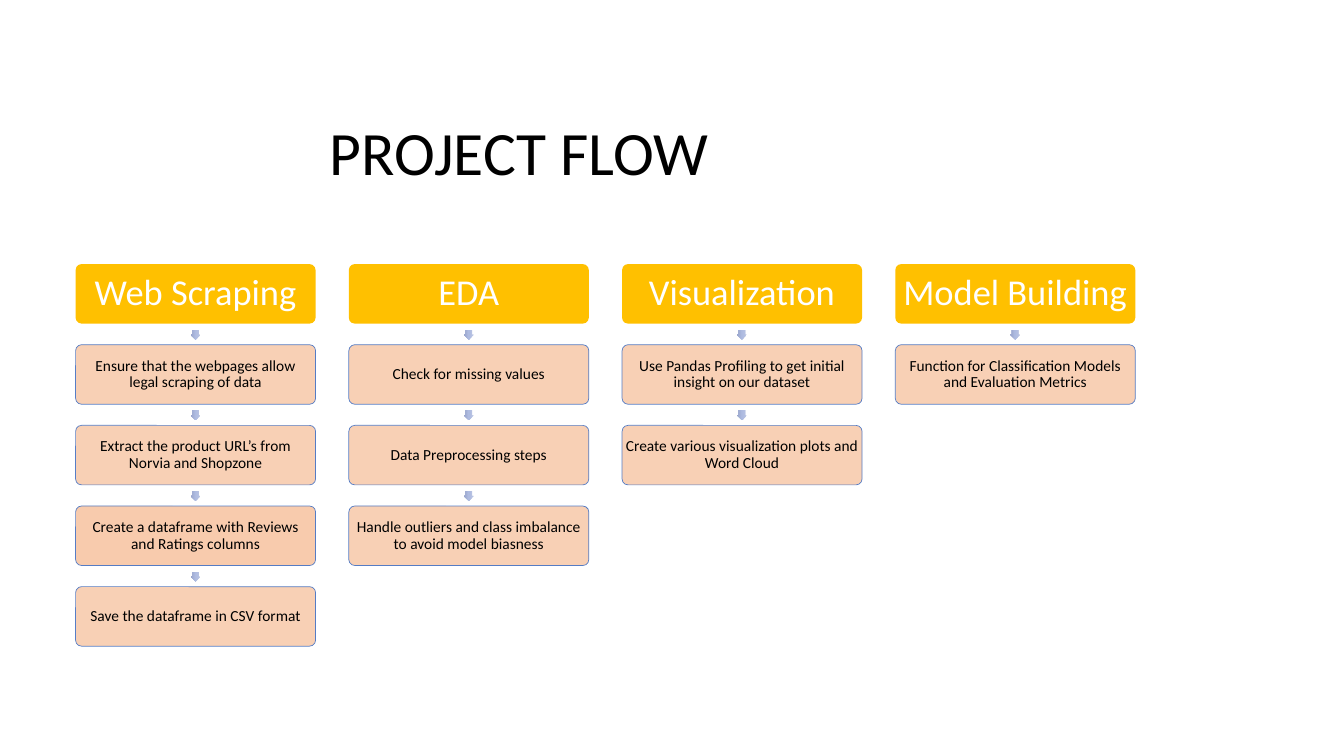
from copy import deepcopy

from lxml.etree import SubElement
from pptx import Presentation
from pptx.dml.color import RGBColor
from pptx.enum.shapes import MSO_SHAPE
from pptx.enum.text import MSO_ANCHOR, MSO_AUTO_SIZE, PP_ALIGN
from pptx.oxml.ns import qn
from pptx.util import Inches, Pt

FONT = "Calibri"
BLACK = RGBColor(0x00, 0x00, 0x00)
WHITE = RGBColor(0xFF, 0xFF, 0xFF)
GOLD = RGBColor(0xFF, 0xC0, 0x00)
PEACH = RGBColor(0xF8, 0xCB, 0xAD)
BLUE = RGBColor(0x44, 0x72, 0xC4)
ARROW_COLORS = [RGBColor(0xBB, 0xC5, 0xE3), RGBColor(0xAE, 0xBB, 0xE0),
                RGBColor(0x98, 0xA4, 0xCB)]

# Grid of boxes, in inches
LEFT, TOP = 0.75, 2.62
COL_STEP, ROW_STEP = 2.71, 0.8
BOX_W, BOX_H = 2.38, 0.59
ARROW = 0.1

OPAQUE_STEP = "Create a dataframe with Reviews and Ratings columns"
STAGES = [
    ("Web Scraping", ["Ensure that the webpages allow legal scraping of data",
                      "Extract the product URL’s from Norvia and Shopzone",
                      OPAQUE_STEP,
                      "Save the dataframe in CSV format"]),
    ("EDA", ["Check for missing values",
             "Data Preprocessing steps",
             "Handle outliers and class imbalance to avoid model biasness"]),
    ("Visualization", ["Use Pandas Profiling to get initial insight on our dataset",
                       "Create various visualization plots and Word Cloud"]),
    ("Model Building", ["Function for Classification Models and Evaluation Metrics"]),
]


def set_alpha(solid_fill, percent):
    SubElement(solid_fill[0], qn("a:alpha")).set("val", str(percent * 1000))


def style_text(tf, text, size, color, align):
    tf.text = text
    tf.word_wrap = True
    tf.auto_size = MSO_AUTO_SIZE.NONE
    tf.vertical_anchor = MSO_ANCHOR.MIDDLE
    p = tf.paragraphs[0]
    p.alignment = align
    p.line_spacing = 0.9
    p.font.name = FONT
    p.font.size = Pt(size)
    p.font.color.rgb = color


def add_box(shapes, x, y, text, fill, size, color, inset):
    sp = shapes.add_shape(MSO_SHAPE.ROUNDED_RECTANGLE, Inches(x), Inches(y),
                          Inches(BOX_W), Inches(BOX_H))
    sp.adjustments[0] = 0.1
    sp.shadow.inherit = False
    sp.fill.solid()
    sp.fill.fore_color.rgb = fill
    sp.line.fill.background()
    tf = sp.text_frame
    tf.margin_left = tf.margin_right = Inches(inset)
    tf.margin_top = tf.margin_bottom = Inches(inset)
    style_text(tf, text, size, color, PP_ALIGN.CENTER)
    return sp


def add_step(shapes, x, y, text):
    sp = add_box(shapes, x, y, text, PEACH, 11, BLACK, 0.02)
    sp.line.color.rgb = BLUE
    sp.line.width = Pt(0.5)
    sp_pr = sp._element.spPr
    set_alpha(sp_pr.find(qn("a:ln")).find(qn("a:solidFill")), 90)
    if text != OPAQUE_STEP:
        set_alpha(sp_pr.find(qn("a:solidFill")), 90)


def add_arrow(shapes, x, y):
    sp = shapes.add_shape(MSO_SHAPE.RIGHT_ARROW, Inches(x), Inches(y),
                          Inches(ARROW), Inches(ARROW))
    sp.rotation = 90
    sp.adjustments[0] = 0.667
    sp.shadow.inherit = False
    sp.line.fill.background()
    sp.fill.gradient()
    sp.fill.gradient_angle = 270
    # The gradient starts with two stops; add the middle one
    stops = sp._element.spPr.find(qn("a:gradFill")).find(qn("a:gsLst"))
    stops.insert(1, deepcopy(stops[0]))
    for i, (stop, color) in enumerate(zip(sp.fill.gradient_stops, ARROW_COLORS)):
        stop.position = i / 2
        stop.color.rgb = color


def add_stage(shapes, x, name, steps):
    add_box(shapes, x, TOP, name, GOLD, 26, WHITE, 0.04)
    for row, step in enumerate(steps, start=1):
        y = TOP + row * ROW_STEP
        add_arrow(shapes, x + (BOX_W - ARROW) / 2, y - 0.15)
        add_step(shapes, x, y, step)


def add_title(s, text):
    title = s.shapes.title
    title.left, title.top = Inches(3.17), Inches(0.84)
    title.width, title.height = Inches(9.17), Inches(1.41)
    style_text(title.text_frame, text, 44, BLACK, PP_ALIGN.LEFT)


def main():
    prs = Presentation()
    prs.slide_width, prs.slide_height = Inches(13.33), Inches(7.5)
    s = prs.slides.add_slide(prs.slide_layouts[5])
    add_title(s, "PROJECT FLOW")

    # Flow diagram: one column per stage
    flow = s.shapes.add_group_shape()
    for col, (name, steps) in enumerate(STAGES):
        add_stage(flow.shapes, LEFT + col * COL_STEP, name, steps)

    prs.save("out.pptx")


if __name__ == "__main__":
    main()
